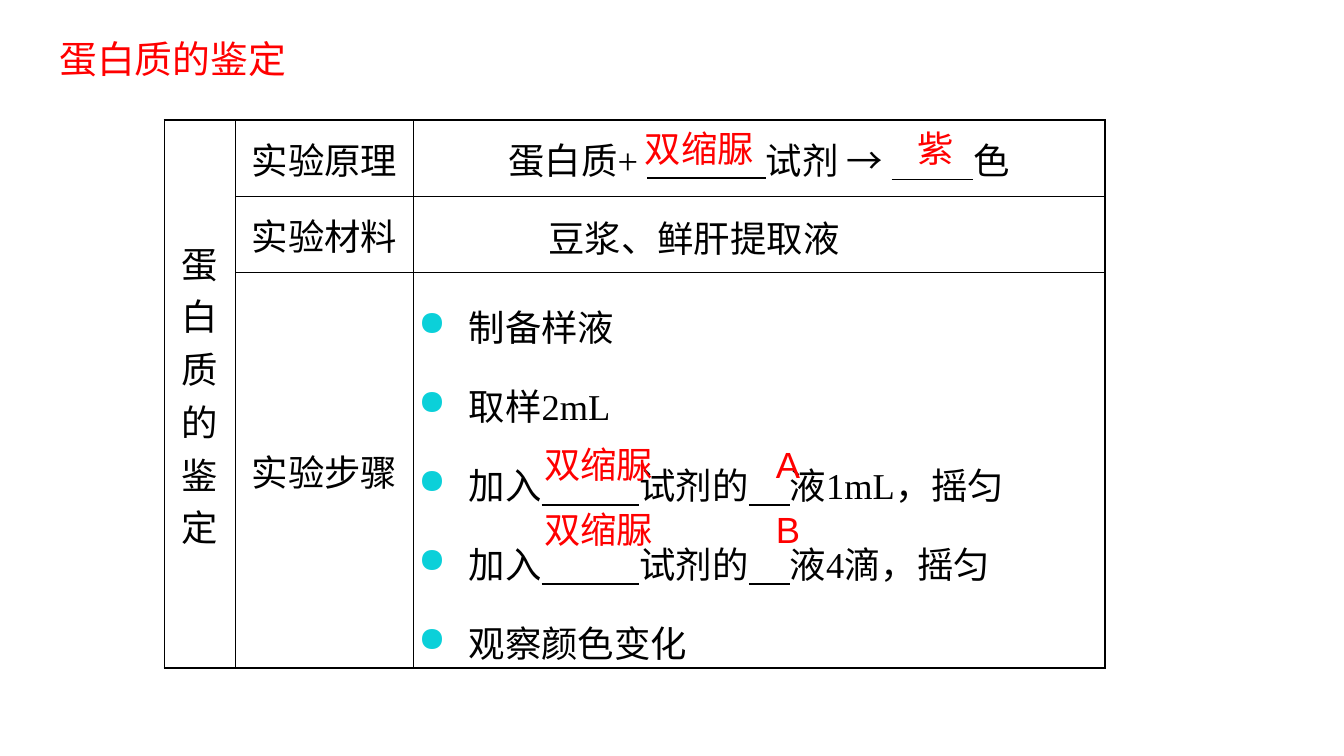
from dataclasses import dataclass

from lxml.etree import SubElement
from pptx import Presentation
from pptx.dml.color import RGBColor as Rgb
from pptx.enum.text import MSO_ANCHOR as Anchor, MSO_AUTO_SIZE as AutoSize, PP_ALIGN as Align
from pptx.oxml import parse_xml
from pptx.oxml.ns import nsdecls, qn
from pptx.util import Pt


@dataclass(frozen=True)
class Theme:
    ink: str = "000000"
    answer: str = "FF0000"
    bullet: str = "0BD0D9"
    serif: str = "Times New Roman"
    sans: str = "Arial"
    title_size: float = 27
    body_size: float = 26
    outer_line: float = 1.5
    inner_line: float = 1


def write_para(para, pieces, *, font, size, color, align=Align.LEFT, hang=0, spacing=None, bullet=None):
    """Write text pieces into a paragraph; a number stands for an underlined blank of that length."""
    para.alignment = align
    if spacing:
        para.line_spacing = spacing
    for piece in [pieces] if isinstance(pieces, str) else pieces:
        is_blank = isinstance(piece, int)
        span = para.add_run()
        span.text = " " * piece if is_blank else piece
        span.font.name = font
        span.font.size = Pt(size)
        span.font.color.rgb = Rgb.from_string(color)
        if is_blank:
            span.font.underline = True
    props = para._p.get_or_add_pPr()
    if hang:
        props.set("marL", str(Pt(hang)))
        props.set("indent", str(-Pt(hang)))
    if bullet:
        SubElement(SubElement(props, qn("a:buClr")), qn("a:srgbClr")).set("val", bullet)
        SubElement(props, qn("a:buSzPct")).set("val", "95000")
        SubElement(props, qn("a:buChar")).set("char", "●")


class SlideBuilder:
    def __init__(self, page, theme):
        self.page = page
        self.theme = theme

    def text(self, content, left, top, width, height, *, wrap=False, anchor=Anchor.TOP, **style):
        box = self.page.shapes.add_textbox(Pt(left), Pt(top), Pt(width), Pt(height))
        frame = box.text_frame
        frame.word_wrap = wrap
        frame.auto_size = AutoSize.NONE if wrap else AutoSize.SHAPE_TO_FIT_TEXT
        frame.vertical_anchor = anchor
        write_para(frame.paragraphs[0], content, **style)

    def answer(self, content, left, top, width):
        theme = self.theme
        self.text(content, left, top, width, 39, font=theme.sans, size=theme.body_size,
                  color=theme.answer, hang=27)

    def table(self, left, top, widths, heights):
        frame = self.page.shapes.add_table(len(heights), len(widths), Pt(left), Pt(top),
                                           Pt(sum(widths)), Pt(sum(heights)))
        table = frame.table
        table.first_row = table.horz_banding = False
        for column, width in zip(table.columns, widths):
            column.width = Pt(width)
        for row, height in zip(table.rows, heights):
            row.height = Pt(height)
        for row in range(len(heights)):
            for column in range(len(widths)):
                cell = table.cell(row, column)
                cell.fill.background()
                cell.vertical_anchor = Anchor.MIDDLE
                cell.margin_left = cell.margin_right = Pt(3.6)
                cell.margin_top = cell.margin_bottom = 0
                self.borders(cell, L=column == 0, R=column == len(widths) - 1,
                             T=row == 0, B=row == len(heights) - 1)
        return table

    def borders(self, cell, **sides):
        props = cell._tc.get_or_add_tcPr()
        for index, (side, is_outer) in enumerate(sides.items()):
            width = Pt(self.theme.outer_line if is_outer else self.theme.inner_line)
            props.insert(index, parse_xml(
                f'<a:ln{side} {nsdecls("a")} w="{width}"><a:solidFill>'
                f'<a:srgbClr val="{self.theme.ink}"/></a:solidFill></a:ln{side}>'))

    def cell(self, cell, *lines, **style):
        theme = self.theme
        frame = cell.text_frame
        for index, line in enumerate(lines):
            para = frame.add_paragraph() if index else frame.paragraphs[0]
            write_para(para, line, font=theme.serif, size=theme.body_size, color=theme.ink, **style)


def main():
    deck = Presentation()
    deck.slide_width, deck.slide_height = Pt(960), Pt(540)
    theme = Theme()
    slide = SlideBuilder(deck.slides.add_slide(deck.slide_layouts[6]), theme)

    table = slide.table(117.5, 85.7, [51, 126.7, 494], [54.5, 54.5, 272.5])
    table.cell(0, 0).merge(table.cell(2, 0))
    slide.cell(table.cell(0, 0), "蛋白质的鉴定", align=Align.CENTER)
    for row, heading in enumerate(["实验原理", "实验材料", "实验步骤"]):
        slide.cell(table.cell(row, 1), heading, align=Align.CENTER)
    slide.cell(table.cell(0, 2), ["蛋白质+ ", 13, "试剂 → ", 10, "色"], align=Align.CENTER)
    steps = ["制备样液", "取样2mL",
             *(["加入", 12, "试剂的", 5, dose] for dose in ["液1mL，摇匀", "液4滴，摇匀"]),
             "观察颜色变化"]
    slide.cell(table.cell(2, 2), *steps, align=Align.JUSTIFY, hang=36, spacing=1.5,
               bullet=theme.bullet)

    slide.text("豆浆、鲜肝提取液", 381.6, 151.2, 225.4, 39, font=theme.sans,
               size=theme.body_size, color=theme.ink, align=Align.RIGHT)
    slide.text("蛋白质的鉴定", 35.3, 24.5, 246, 34, wrap=True, anchor=Anchor.MIDDLE,
               font=theme.serif, size=theme.title_size, color=theme.answer)
    slide.answer("双缩脲", 453.6, 86.4, 93.6)
    slide.answer("紫", 648, 86.4, 41)
    for solution, top in [("A", 312.5), ("B", 358.6)]:
        slide.answer("双缩脲", 381.6, top, 93.6)
        slide.answer(solution, 547.2, top, 32.4)

    deck.save("out.pptx")


if __name__ == "__main__":
    main()
